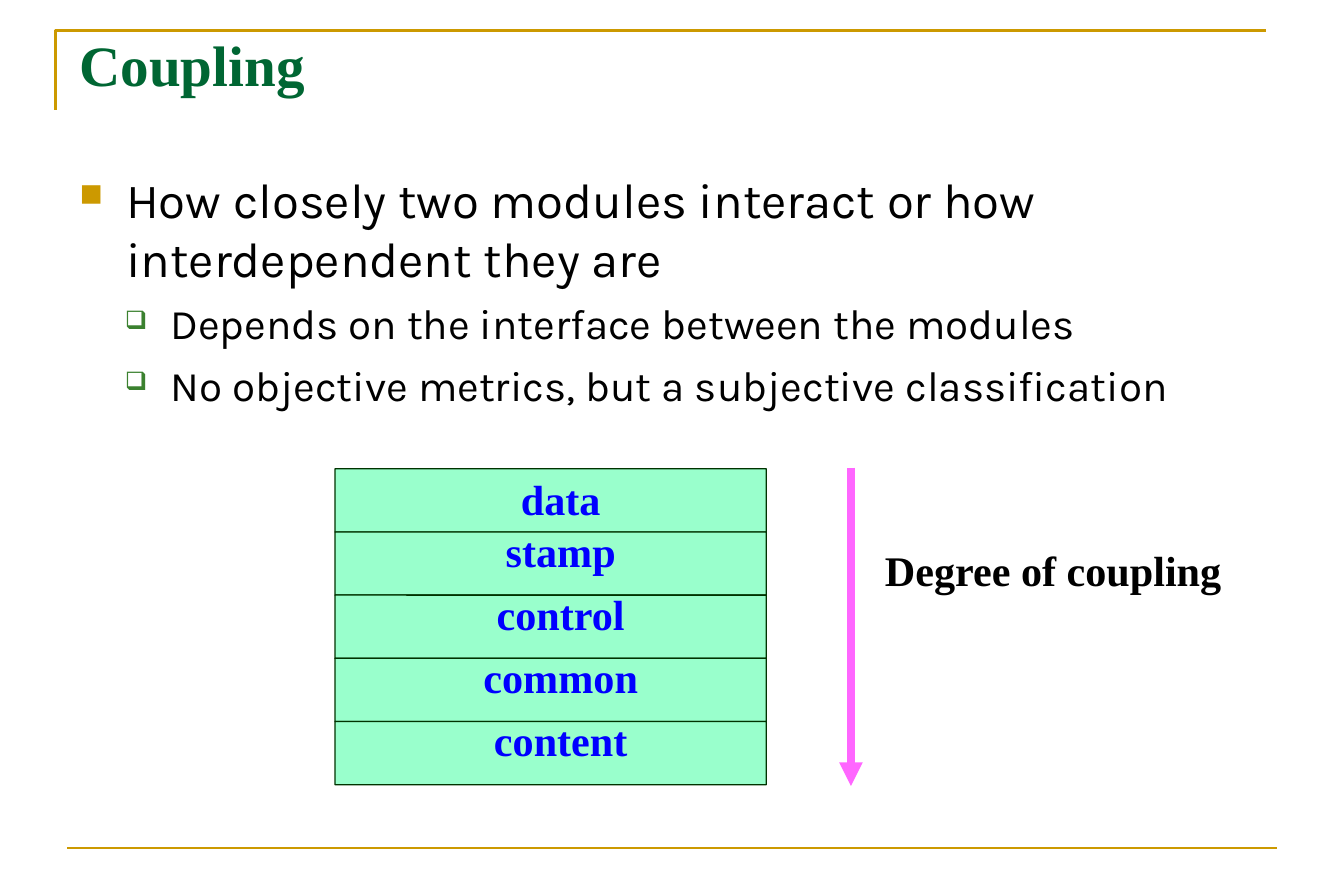
from dataclasses import dataclass
from typing import Optional

from lxml.etree import SubElement
from pptx import Presentation
from pptx.dml.color import RGBColor
from pptx.enum.shapes import MSO_CONNECTOR as Connector, MSO_SHAPE as Preset
from pptx.enum.text import PP_ALIGN as Align
from pptx.oxml.ns import qn
from pptx.util import Inches, Pt

SERIF, SANS = "Times New Roman", "Karla"
GOLD, BLACK = "CC9900", "000000"
LEVEL_LEFT, LEVEL_WIDTH, LEVEL_HEIGHT, LEVELS_TOP = 2.65, 3.41, 0.5, 3.71


@dataclass
class Bullet:
    symbol: str
    color: str
    percent: int
    indent: float
    hanging: float


@dataclass
class Line:
    text: str
    size: float
    font: str
    color: str
    bold: bool = False
    align: Optional[Align] = None
    spacing: float = 1.0
    before: float = 0
    level: int = 0
    bullet: Optional[Bullet] = None


def rgb(color: str) -> RGBColor:
    return RGBColor.from_string(color)


def add_bullet(paragraph, bullet: Bullet) -> None:
    properties = paragraph._p.get_or_add_pPr()
    properties.set("marL", str(Inches(bullet.indent)))
    properties.set("indent", str(-Inches(bullet.hanging)))
    color = SubElement(properties, qn("a:buClr"))
    SubElement(color, qn("a:srgbClr"), val=bullet.color)
    SubElement(properties, qn("a:buSzPct"), val=str(bullet.percent * 1000))
    SubElement(properties, qn("a:buChar"), char=bullet.symbol)


def add_text(slide, left: float, top: float, width: float, height: float,
             lines: list[Line], side_inset: float = 0.1) -> None:
    box = slide.shapes.add_textbox(Inches(left), Inches(top), Inches(width), Inches(height))
    frame = box.text_frame
    frame.word_wrap = True
    frame.margin_left = frame.margin_right = Inches(side_inset)
    for index, line in enumerate(lines):
        paragraph = frame.add_paragraph() if index else frame.paragraphs[0]
        paragraph.level = line.level
        paragraph.alignment = line.align
        paragraph.line_spacing = line.spacing
        paragraph.space_before = Pt(line.before)
        if line.bullet:
            add_bullet(paragraph, line.bullet)
        run = paragraph.add_run()
        run.text = line.text
        run.font.size = Pt(line.size)
        run.font.name = line.font
        run.font.bold = line.bold
        run.font.color.rgb = rgb(line.color)


def add_line(slide, start: tuple[float, float], end: tuple[float, float],
             color: str, width: float, arrow: bool = False) -> None:
    connector = slide.shapes.add_connector(
        Connector.STRAIGHT, *map(Inches, start), *map(Inches, end))
    connector.line.color.rgb = rgb(color)
    connector.line.width = Pt(width)
    if arrow:
        SubElement(connector.line._get_or_add_ln(), qn("a:tailEnd"), type="triangle")
    SubElement(connector._element.spPr, qn("a:effectLst"))


def add_frame(slide) -> None:
    builder = slide.shapes.build_freeform(Inches(0.44), Inches(0.87))
    corner, end = (Inches(0.44), Inches(0.24)), (Inches(10.01), Inches(0.24))
    builder.add_line_segments([corner, end], close=False)
    shape = builder.convert_to_shape()
    shape.shadow.inherit = False
    shape.fill.background()
    shape.line.color.rgb = rgb(GOLD)
    shape.line.width = Pt(1.5)
    add_line(slide, (0.53, 6.71), (10.1, 6.71), GOLD, 1.5)


def add_level_box(slide, top: float) -> None:
    shape = slide.shapes.add_shape(
        Preset.ROUNDED_RECTANGLE, Inches(LEVEL_LEFT), Inches(top),
        Inches(LEVEL_WIDTH), Inches(LEVEL_HEIGHT))
    shape.adjustments[0] = 0.003
    shape.shadow.inherit = False
    shape.fill.solid()
    shape.fill.fore_color.rgb = rgb("99FFCC")
    shape.line.color.rgb = rgb("003300")
    shape.line.width = Pt(0.75)


def main() -> None:
    presentation = Presentation()
    presentation.slide_width, presentation.slide_height = Inches(10.63), Inches(7.09)
    slide = presentation.slides.add_slide(presentation.slide_layouts[6])

    # Frame and title
    add_frame(slide)
    add_text(slide, 0.53, 0.29, 9.57, 0.67,
             [Line("Coupling", 32.5, SERIF, "006633", bold=True, spacing=0.8)])

    # Definition
    square = Bullet("■", GOLD, 65, 0.37, 0.37)
    hollow = Bullet("❑", "3B812F", 60, 0.72, 0.36)
    details = ["Depends on the interface between the modules",
               "No objective metrics, but a subjective classification"]
    add_text(slide, 0.53, 1.29, 9.57, 5.25, [
        Line("How closely two modules interact or how interdependent they are",
             28, SANS, BLACK, before=7, bullet=square),
        *[Line(detail, 24, SANS, BLACK, before=6, level=1, bullet=hollow)
          for detail in details],
    ])

    # Stack of coupling levels; the first label sits slightly lower
    levels = ["data", "stamp", "control", "common", "content"]
    tops = [LEVELS_TOP + index * LEVEL_HEIGHT for index in range(len(levels))]
    for top in tops:
        add_level_box(slide, top)
    for index, (level, top) in enumerate(zip(levels, tops)):
        label_top = top if index else top + 0.09
        add_text(slide, 2.98, label_top, 2.91, LEVEL_HEIGHT,
                 [Line(level, 24, SERIF, "0000FF", bold=True, align=Align.CENTER,
                       spacing=0.72, before=13.6)], side_inset=0.02)

    # Degree arrow
    add_line(slide, (6.73, 3.7), (6.73, 6.22), "FF66FF", 4.5, arrow=True)
    add_text(slide, 6.98, 4.36, 3.17, 0.76,
             [Line("Degree of coupling", 24, SERIF, BLACK, bold=True,
                   spacing=0.72, before=11.4)], side_inset=0.02)

    presentation.save("out.pptx")


if __name__ == "__main__":
    main()
